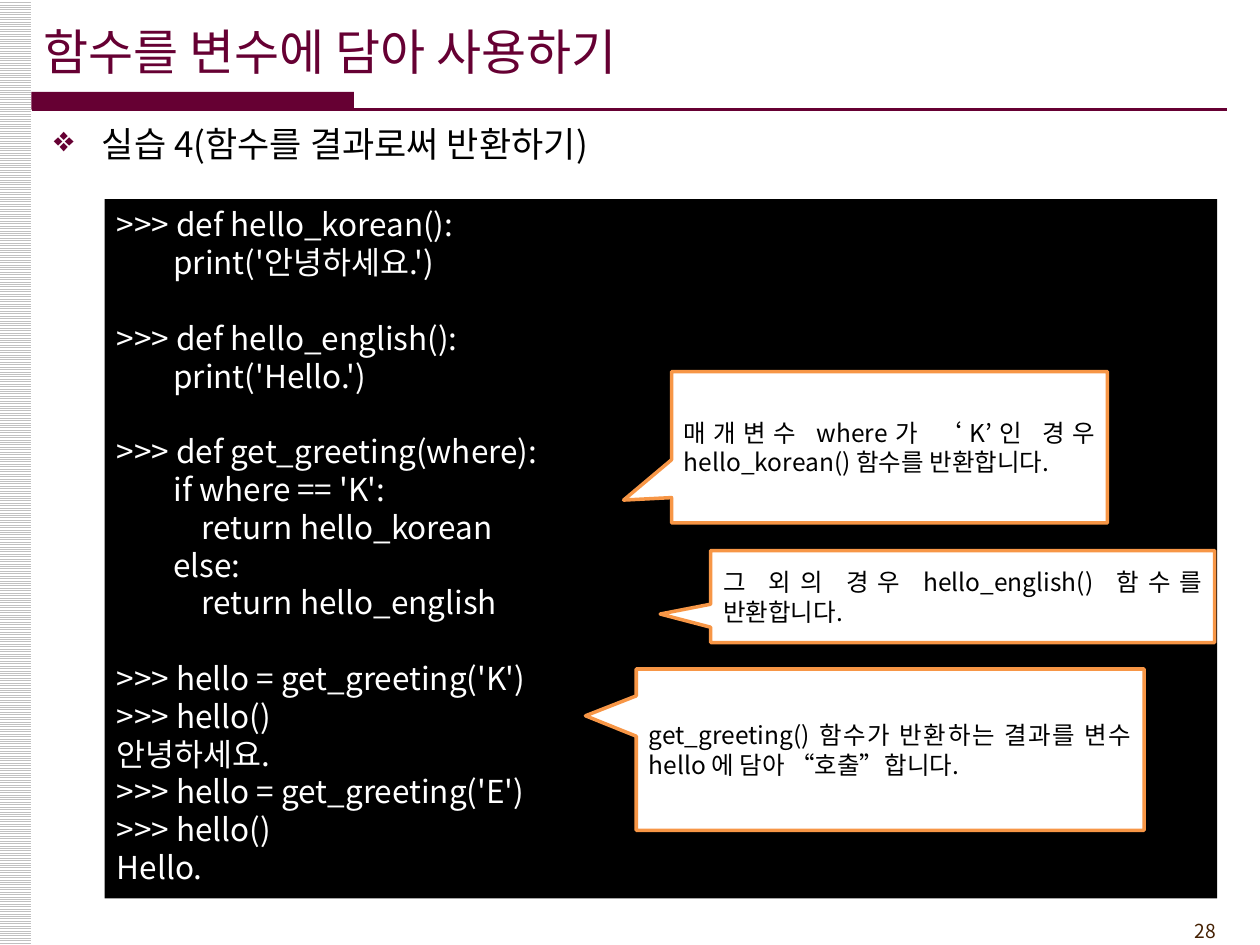
from dataclasses import dataclass

from lxml import etree
from pptx import Presentation
from pptx import util as u
from pptx.dml.color import RGBColor
from pptx.enum import dml, shapes, text
from pptx.oxml import ns


@dataclass(frozen=True)
class Theme:
    font: str = "Noto Sans CJK KR"
    leading: float = 1.2
    wine: str = "660033"
    brown: str = "452103"
    orange: str = "F79646"
    stripe: str = "C0C0C0"
    black: str = "000000"
    white: str = "FFFFFF"
    title: int = 28
    heading: int = 20
    code: int = 18
    note: int = 14
    number: int = 11


theme = Theme()
rgb = RGBColor.from_string
align = text.PP_ALIGN

deck = Presentation()
deck.slide_width, deck.slide_height = u.Inches(10), u.Inches(7.5)
slide = deck.slides.add_slide(deck.slide_layouts[6])


def area(left, top, width, height):
    """Turn percentages of the slide into left, top, width and height."""
    column, row = deck.slide_width / 100, deck.slide_height / 100
    return [round(n) for n in (left * column, top * row, width * column, height * row)]


def write(box, lines, size, color, alignment=align.LEFT, anchor=text.MSO_ANCHOR.TOP):
    """Fill a box with one paragraph per line; an empty line becomes space before the next."""
    frame = box.text_frame
    frame.word_wrap = True
    frame.vertical_anchor = anchor
    pitch = u.Pt(size * theme.leading)
    para, gap = None, False
    for line in lines:
        if not line:
            gap = True
            continue
        para = frame.paragraphs[0] if para is None else frame.add_paragraph()
        para.alignment = alignment
        para.line_spacing = pitch
        if gap:
            para.space_before = pitch
        gap = False
        span = para.add_run()
        span.text = line
        span.font.name = theme.font
        span.font.size = u.Pt(size)
        span.font.color.rgb = rgb(color)
        etree.SubElement(span.font._element, ns.qn("a:ea"), typeface=theme.font)


# Striped margin and title rule
margin = slide.shapes.add_shape(shapes.MSO_SHAPE.RECTANGLE, *area(-0.1, 0, 2.6, 100))
margin.shadow.inherit = False
margin.line.fill.background()
margin.fill.patterned()
margin.fill.pattern = dml.MSO_PATTERN.LIGHT_HORIZONTAL
margin.fill.fore_color.rgb = rgb(theme.stripe)
margin.fill.back_color.rgb = rgb(theme.white)

bar = slide.shapes.add_shape(shapes.MSO_SHAPE.RECTANGLE, *area(2.5, 9.73, 25.6, 1.87))
bar.shadow.inherit = False
bar.line.fill.background()
bar.fill.solid()
bar.fill.fore_color.rgb = rgb(theme.wine)

left, top, width, _ = area(2.5, 11.6, 94.9, 0)
rule = slide.shapes.add_connector(shapes.MSO_CONNECTOR.STRAIGHT, left, top, left + width, top)
rule.line.color.rgb = rgb(theme.wine)
rule.line.width = u.Pt(1.5)
etree.SubElement(rule._element.spPr, ns.qn("a:effectLst"))

# Title, heading and page number
title = slide.shapes.add_textbox(*area(2.5, 1.2, 82.7, 8.4))
write(title, ["함수를 변수에 담아 사용하기"], theme.title, theme.wine,
      anchor=text.MSO_ANCHOR.MIDDLE)

heading = slide.shapes.add_textbox(*area(3.3, 12.27, 95, 83.33))
write(heading, ["실습 4(함수를 결과로써 반환하기)"], theme.heading, theme.black)
bullet = heading.text_frame.paragraphs[0]._p.get_or_add_pPr()
indent = u.Inches(0.38)
bullet.set("marL", str(indent))
bullet.set("indent", str(-indent))
bullet_color = etree.SubElement(bullet, ns.qn("a:buClr"))
etree.SubElement(bullet_color, ns.qn("a:srgbClr"), val=theme.wine)
etree.SubElement(bullet, ns.qn("a:buChar"), char="❖")

number = slide.shapes.add_textbox(*area(89.2, 96.67, 8.3, 3.87))
write(number, ["28"], theme.number, theme.brown, align.RIGHT)

# Console session
session = """\
>>> def hello_korean():
        print('안녕하세요.')

>>> def hello_english():
        print('Hello.')

>>> def get_greeting(where):
        if where == 'K':
            return hello_korean
        else:
            return hello_english

>>> hello = get_greeting('K')
>>> hello()
안녕하세요.
>>> hello = get_greeting('E')
>>> hello()
Hello."""
console = slide.shapes.add_shape(shapes.MSO_SHAPE.RECTANGLE, *area(8.3, 21.07, 88.3, 74))
console.shadow.inherit = False
console.line.fill.background()
console.fill.solid()
console.fill.fore_color.rgb = rgb(theme.black)
write(console, session.split("\n"), theme.code, theme.white, align.JUSTIFY)

# Callouts: place, pointer tip, wording
callouts = [
    ((53.3, 39.33, 34.6, 16), (-0.61, 0.35),
     "매개변수 where가 ‘K’인 경우 hello_korean() 함수를 반환합니다."),
    ((56.4, 58.27, 40, 9.73), (-0.6, 0.19),
     "그 외의 경우 hello_english() 함수를 반환합니다."),
    ((50.5, 70.8, 40.3, 17.07), (-0.6, -0.21),
     "get_greeting() 함수가 반환하는 결과를 변수 hello 에 담아 “호출”합니다."),
]
for place, tip, wording in callouts:
    callout = slide.shapes.add_shape(shapes.MSO_SHAPE.RECTANGULAR_CALLOUT, *area(*place))
    callout.adjustments[0], callout.adjustments[1] = tip
    callout.shadow.inherit = False
    callout.fill.solid()
    callout.fill.fore_color.rgb = rgb(theme.white)
    callout.line.color.rgb = rgb(theme.orange)
    callout.line.width = u.Pt(2)
    write(callout, [wording], theme.note, theme.black, align.JUSTIFY, text.MSO_ANCHOR.MIDDLE)

deck.save("out.pptx")
